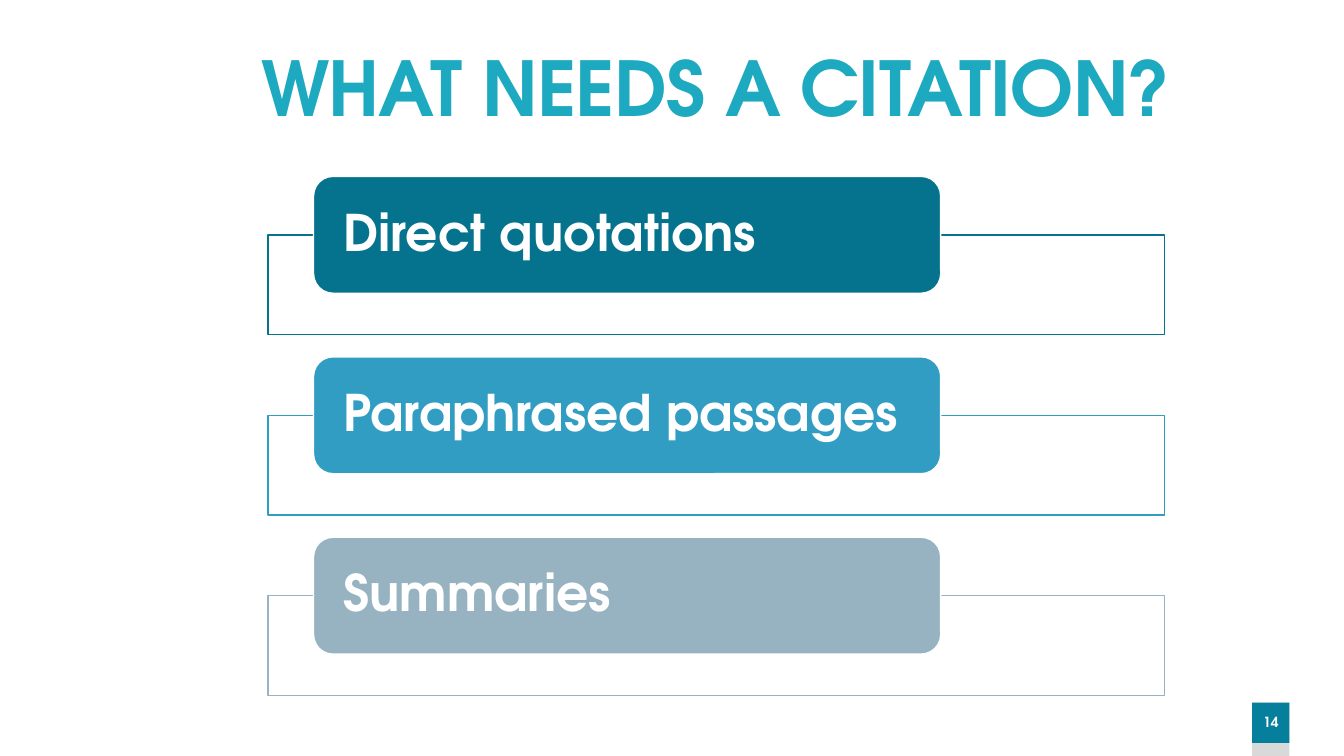
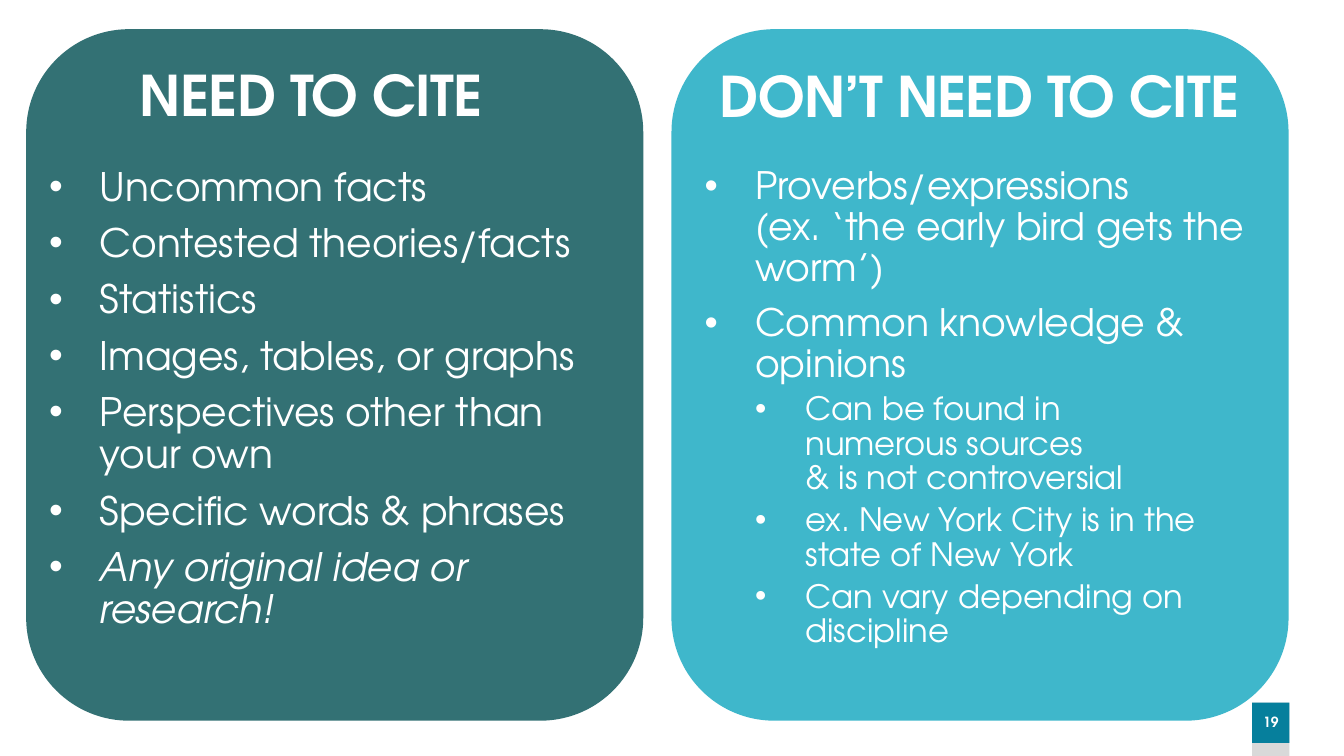
from lxml import etree
from pptx import Presentation
from pptx.dml.color import RGBColor
from pptx.enum.shapes import MSO_SHAPE as Preset
from pptx.enum.text import MSO_ANCHOR as Anchor, MSO_AUTO_SIZE as AutoSize, PP_ALIGN as Align
from pptx.oxml.ns import qn
from pptx.util import Inches, Pt

FONT = "TeX Gyre Adventor"
WHITE = RGBColor(0xFF, 0xFF, 0xFF)
TITLE_TEAL = RGBColor(0x1D, 0xA9, 0xBF)
BADGE_TEAL = RGBColor(0x06, 0x7F, 0x9C)
BADGE_GREY = RGBColor(0xD9, 0xD9, 0xD9)
DEEP_TEAL = RGBColor(0x05, 0x73, 0x8E)
SKY_BLUE = RGBColor(0x32, 0x9D, 0xC3)
MIST_BLUE = RGBColor(0x97, 0xB3, 0xC1)
CITE_GREEN = RGBColor(0x01, 0x4E, 0x52)
NO_CITE_CYAN = RGBColor(0x0F, 0xA5, 0xBE)

CITATION_NEEDS = [
    ("Direct quotations", DEEP_TEAL),
    ("Paraphrased passages", SKY_BLUE),
    ("Summaries", MIST_BLUE),
]
# Each point is (text, level, italic).
NEED_TO_CITE = [
    ("Uncommon facts", 0, False),
    ("Contested theories/facts", 0, False),
    ("Statistics", 0, False),
    ("Images, tables, or graphs", 0, False),
    ("Perspectives other than your own", 0, False),
    ("Specific words & phrases", 0, False),
    ("Any original idea or research!", 0, True),
]
NO_NEED_TO_CITE = [
    ("Proverbs/expressions\n(ex. ‘the early bird gets the worm’)", 0, False),
    ("Common knowledge & opinions", 0, False),
    ("Can be found in\nnumerous sources\n& is not controversial", 1, False),
    ("ex. New York City is in the state of New York", 1, False),
    ("Can vary depending on discipline", 1, False),
]


class Deck:
    """Holds the shared style and the slide being built."""

    def __init__(self):
        self.prs = Presentation()
        self.prs.slide_width, self.prs.slide_height = Inches(13.33), Inches(7.5)
        self.slide = None

    def new_slide(self, number):
        self.slide = self.prs.slides.add_slide(self.prs.slide_layouts[5])
        self.box((12.42, 6.97, 0.37, 0.53), BADGE_GREY)
        badge = self.box((12.42, 6.97, 0.37, 0.4), BADGE_TEAL)
        self.label(badge, str(number), 10, Align.CENTER, inset=0)

    def box(self, place, fill, preset=Preset.RECTANGLE, line=None, opacity=100):
        shape = self.slide.shapes.add_shape(preset, *map(Inches, place))
        shape.shadow.inherit = False
        shape.fill.solid()
        shape.fill.fore_color.rgb = fill
        if opacity < 100:
            color = shape.element.spPr.find(qn("a:solidFill"))[0]
            etree.SubElement(color, qn("a:alpha"), val=str(opacity * 1000))
        if line is None:
            shape.line.fill.background()
        else:
            shape.line.color.rgb = line
            shape.line.width = Pt(1)
        return shape

    def add_text(self, paragraph, text, size, color=WHITE, bold=False, italic=False, tracking=0):
        """Add text line by line; tracking is letter spacing in points."""
        paragraph.line_spacing = 0.9
        for index, line in enumerate(text.split("\n")):
            if index:
                paragraph.add_line_break()
            run = paragraph.add_run()
            run.text = line
            font = run.font
            font.name, font.size, font.bold, font.italic = FONT, Pt(size), bold, italic
            font.color.rgb = color
            if tracking:
                run._r.get_or_add_rPr().set("spc", str(round(tracking * 100)))

    def label(self, shape, text, size, align, inset):
        frame = shape.text_frame
        frame.word_wrap = True
        frame.vertical_anchor = Anchor.MIDDLE
        frame.margin_left = frame.margin_right = Inches(inset)
        frame.paragraphs[0].alignment = align
        self.add_text(frame.paragraphs[0], text, size, bold=True)

    def text_box(self, place):
        return self.slide.shapes.add_textbox(*map(Inches, place))

    def heading(self, shape, text, size, color=WHITE):
        frame = shape.text_frame
        frame.word_wrap = True
        frame.auto_size = AutoSize.NONE
        frame.vertical_anchor = Anchor.TOP
        frame.paragraphs[0].alignment = Align.CENTER
        self.add_text(frame.paragraphs[0], text, size, color, bold=True, tracking=-0.6)

    def title(self, place, text, size, color=WHITE):
        """Fill the title placeholder and bring it in front of the shapes so far."""
        title = self.slide.shapes.title
        title.left, title.top, title.width, title.height = map(Inches, place)
        self.slide.shapes.element.append(title.element)
        self.heading(title, text, size, color)

    def bullets(self, place, points, sizes):
        """Add bulleted points; sizes gives the text size of each level."""
        frame = self.text_box(place).text_frame
        frame.word_wrap = True
        for index, (text, level, italic) in enumerate(points):
            paragraph = frame.add_paragraph() if index else frame.paragraphs[0]
            props = paragraph._p.get_or_add_pPr()
            props.set("marL", str(Inches(0.5 * (level + 1))))
            props.set("indent", str(Inches(-0.5)))
            etree.SubElement(props, qn("a:buFont"), typeface="Arial")
            etree.SubElement(props, qn("a:buChar"), char="•")
            paragraph.level = level
            if index:
                paragraph.space_before = Pt(5 if level else 10)
            self.add_text(paragraph, text, sizes[level], italic=italic)


def build_citation_needs(deck):
    deck.new_slide(14)
    for index, (need, color) in enumerate(CITATION_NEEDS):
        top = 1.75 + 1.79 * index
        deck.box((2.66, top + 0.58, 8.89, 0.99), WHITE, line=color, opacity=90)
        pill = deck.box((3.11, top, 6.22, 1.16), color, Preset.ROUNDED_RECTANGLE, line=WHITE)
        deck.label(pill, need, 36, Align.LEFT, inset=0.24)
    deck.title((2.14, 0.46, 9.92, 0.65), "WHAT NEEDS A CITATION?", 54, TITLE_TEAL)


def build_cite_comparison(deck):
    deck.new_slide(19)
    for left, color in ((0.26, CITE_GREEN), (6.66, NO_CITE_CYAN)):
        deck.box((left, 0.29, 6.12, 6.86), color, Preset.ROUNDED_RECTANGLE, opacity=80)
    deck.title((0.26, 0.63, 5.65, 0.65), "NEED TO CITE", 40)
    deck.heading(deck.text_box((6.89, 0.64, 5.65, 0.65)), "DON’T NEED TO CITE", 40)
    deck.bullets((0.39, 1.61, 5.66, 0.37), NEED_TO_CITE, (28, 24))
    deck.bullets((6.89, 1.61, 5.66, 0.37), NO_NEED_TO_CITE, (27, 23))


def main():
    deck = Deck()
    build_citation_needs(deck)
    build_cite_comparison(deck)
    deck.prs.save("out.pptx")


if __name__ == "__main__":
    main()
